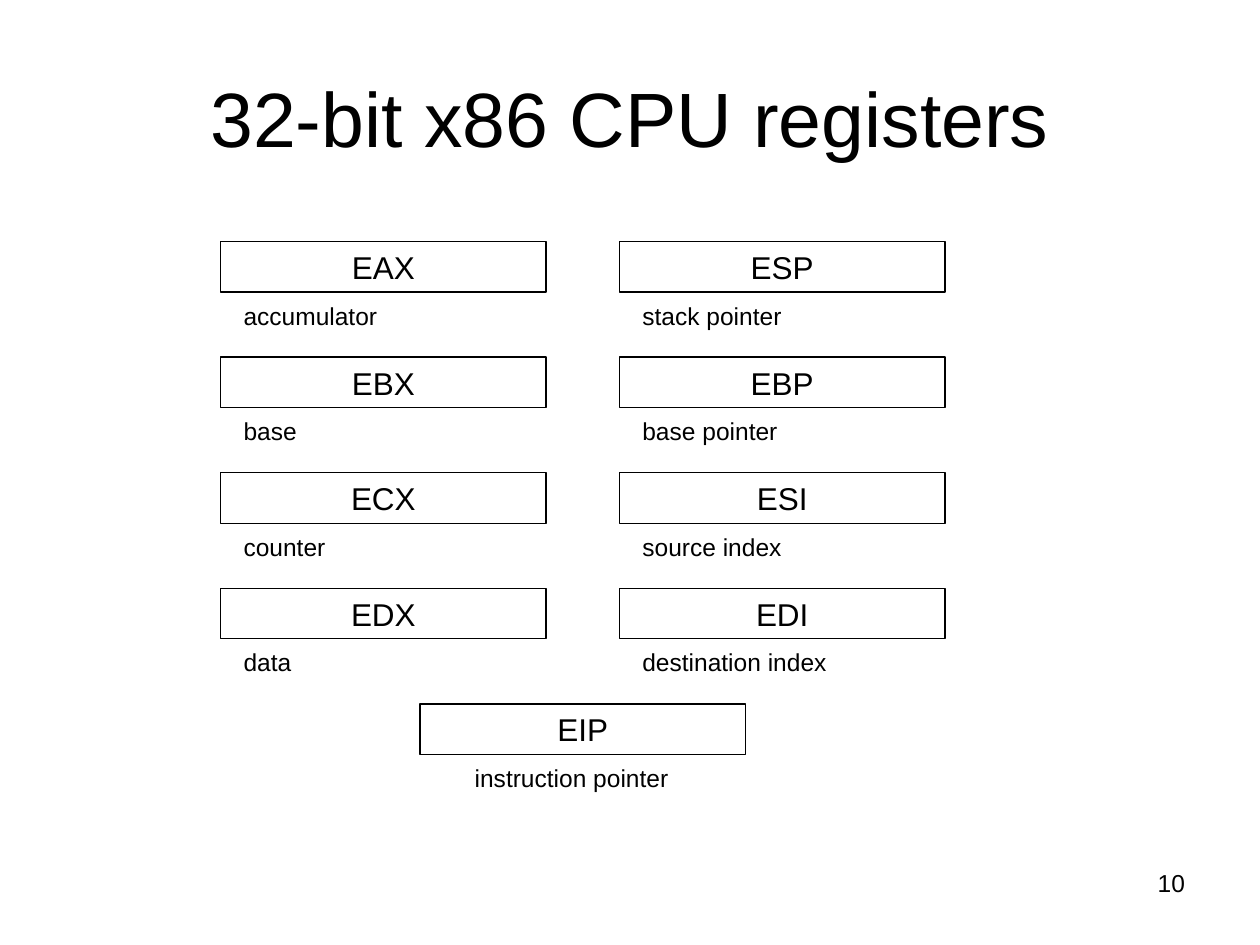
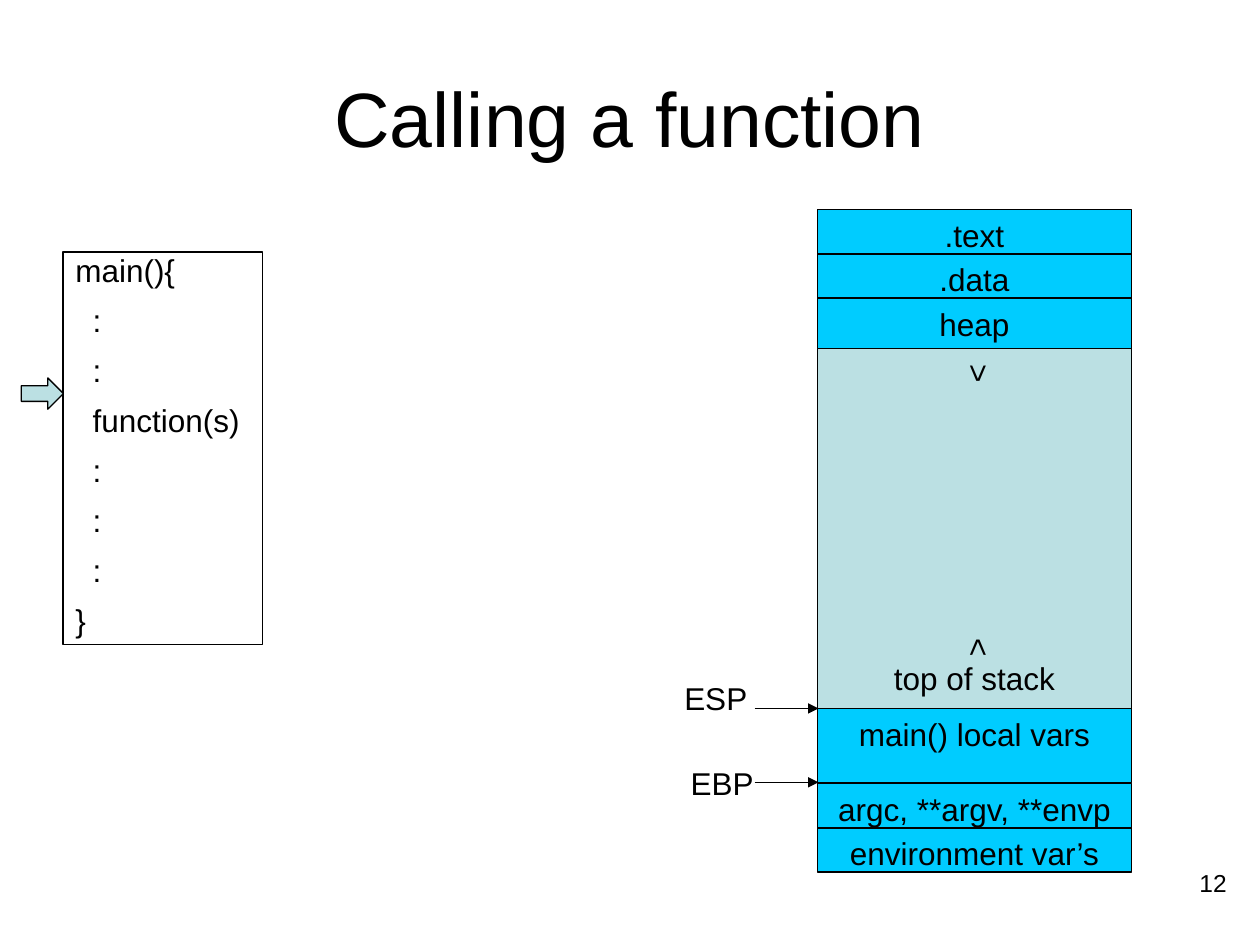
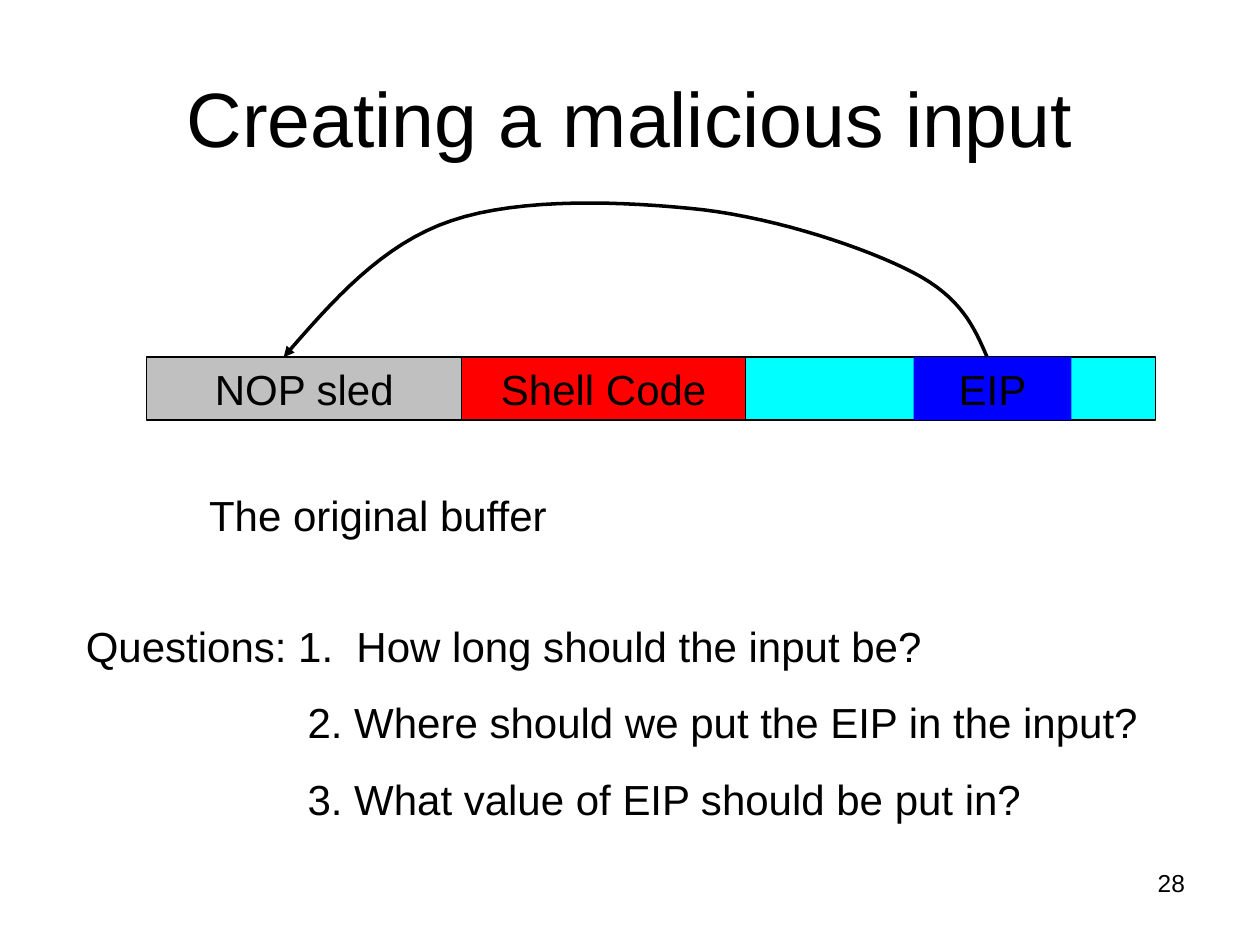
import pptx
import pptx.dml.color
import pptx.enum.shapes
import pptx.enum.text
import pptx.oxml.ns
import pptx.util
import lxml.etree

Cm = pptx.util.Cm
Pt = pptx.util.Pt
RGB = pptx.dml.color.RGBColor
KIND = pptx.enum.shapes.MSO_SHAPE
ALIGN = pptx.enum.text.PP_ALIGN
qn = pptx.oxml.ns.qn

BLACK = RGB(0x00, 0x00, 0x00)
PALE = RGB(0xBB, 0xE0, 0xE3)
SKY = RGB(0x00, 0xCC, 0xFF)
CYAN = RGB(0x00, 0xFF, 0xFF)
BLUE = RGB(0x00, 0x00, 0xFF)
RED = RGB(0xFF, 0x00, 0x00)
GREY = RGB(0xC0, 0xC0, 0xC0)

FRAME = {
    "word_wrap": True,
    "auto_size": pptx.enum.text.MSO_AUTO_SIZE.NONE,
    "vertical_anchor": pptx.enum.text.MSO_ANCHOR.TOP,
    "margin_left": Cm(0.25), "margin_right": Cm(0.25),
    "margin_top": Cm(0.13), "margin_bottom": Cm(0.13),
}
TITLE = {"left": Cm(1.27), "top": Cm(0.76), "width": Cm(22.86), "height": Cm(3.18)}
LIST = {"left": Cm(1.48), "top": Cm(12.37), "width": Cm(22.23), "height": Cm(4.37)}


def write(frame, text, size, align):
    """Fill a text frame, one paragraph per line of text."""
    for key, val in FRAME.items():
        setattr(frame, key, val)
    frame.text = text
    for para in frame.paragraphs:
        form = {"alignment": align, "space_before": Pt(size * 0.625)}
        for key, val in form.items():
            setattr(para, key, val)
        font = {"name": "Arial", "size": Pt(size)}
        for key, val in font.items():
            setattr(para.font, key, val)
        para.font.color.rgb = BLACK


def draw(slide, place, text="", size=18, fill=None, line=BLACK,
         kind=KIND.RECTANGLE, align=ALIGN.CENTER):
    """Add a shape; with kind None, a plain text box."""
    place = [Cm(num) for num in place]
    if kind is None:
        shape = slide.shapes.add_textbox(*place)
    else:
        shape = slide.shapes.add_shape(kind, *place)
        shape.shadow.inherit = False
        if fill is None:
            shape.fill.background()
        else:
            shape.fill.solid()
            shape.fill.fore_color.rgb = fill
        if line is None:
            shape.line.fill.background()
        else:
            shape.line.color.rgb = line
            shape.line.width = Pt(0.75)
    if text:
        write(shape.text_frame, text, size, align)
    return shape


deck = pptx.Presentation()
deck.slide_width, deck.slide_height = Cm(25.4), Cm(19.05)

# Titles and page numbers
heads = [
    ("32-bit x86 CPU registers", "10", 18.21, 5),
    ("Calling a function", "12", 19.05, 5),
    ("Creating a malicious input", "28", 18.21, 1),
]
for head, page, left, layout in heads:
    slide = deck.slides.add_slide(deck.slide_layouts[layout])
    title = slide.shapes.title
    for key, val in TITLE.items():
        setattr(title, key, val)
    write(title.text_frame, head, 44, ALIGN.CENTER)
    title.text_frame.vertical_anchor = pptx.enum.text.MSO_ANCHOR.MIDDLE
    title.text_frame.paragraphs[0].space_before = Pt(0)
    draw(slide, (left, 17.36, 5.93, 1.32), page, 14, kind=None, align=ALIGN.RIGHT)
regs, call, input_ = deck.slides

# Registers: column, row, name, role, indent of the role
cells = [
    (0, 0, "EAX", "accumulator", 0.21),
    (0, 1, "EBX", "base", 0.21),
    (0, 2, "ECX", "counter", 0.21),
    (0, 3, "EDX", "data", 0.21),
    (1, 0, "ESP", "stack pointer", 0.21),
    (1, 1, "EBP", "base pointer", 0.21),
    (1, 2, "ESI", "source index", 0.21),
    (1, 3, "EDI", "destination index", 0.21),
    (0.5, 4, "EIP", "instruction pointer", 0.85),
]
for col, row, name, role, indent in cells:
    left, top = 4.45 + 8.04 * col, 4.87 + 2.33 * row
    draw(regs, (left, top, 6.56, 1.02), name)
    draw(regs, (left + indent, top + 1.06, 5.5, 0.86), role, 14,
         kind=None, align=ALIGN.LEFT)

# Code of the caller
code = draw(call, (1.27, 5.08, 4.02, 7.92),
            "main(){\n:\n:\nfunction(s)\n:\n:\n:\n}", align=ALIGN.LEFT)
lines = code.text_frame.paragraphs
for para in lines:
    para.line_spacing = 0.8
for para in lines[1:-1]:
    para._p.get_or_add_pPr().set("marL", str(Cm(0.35)))
draw(call, (0.43, 7.62, 0.85, 0.63), fill=PALE, kind=KIND.RIGHT_ARROW)

# Memory blocks: top, height, text, fill
LEFT, WIDE = 16.48, 6.33
blocks = [
    (6.91, 7.49, "", PALE),
    (4.23, 1.02, ".text", SKY),
    (5.12, 1.02, ".data", SKY),
    (6.01, 1.02, "heap", SKY),
    (14.28, 1.5, "main() local vars", SKY),
    (15.8, 0.89, "argc, **argv, **envp", SKY),
    (16.69, 0.89, "environment var’s", SKY),
]
for top, high, text, fill in blocks:
    draw(call, (LEFT, top, WIDE, high), text, fill=fill)
draw(call, (LEFT, 13.16, WIDE, 1.02), "top of stack", kind=None)

# Signs for the growth of heap and stack
for sign, top in ((">", 7.09), ("<", 12.62)):
    mark = draw(call, (19, top, 1.27, 0.89), sign, kind=None, align=ALIGN.LEFT)
    frame = mark.text_frame
    frame._txBody.bodyPr.set("vert", "eaVert")
    frame.margin_left = frame.margin_right = Cm(0.13)
    frame.margin_top = frame.margin_bottom = Cm(0.25)

# Stack pointers
for name, left, top, tip in (("ESP", 13.43, 13.55, 14.28), ("EBP", 13.56, 15.27, 15.77)):
    draw(call, (left, top, 2, 1.02), name, kind=None)
    arrow = call.shapes.add_connector(
        pptx.enum.shapes.MSO_CONNECTOR.STRAIGHT, Cm(15.21), Cm(tip), Cm(16.5), Cm(tip))
    arrow.line.color.rgb = BLACK
    arrow.line.width = Pt(0.75)
    lxml.etree.SubElement(arrow.line._get_or_add_ln(), qn("a:tailEnd"), type="triangle")
    lxml.etree.SubElement(arrow._element.spPr, qn("a:effectLst"))

# Parts of the buffer: left, width, text, fill, line
parts = [
    (12.49, 10.8, "", CYAN, BLACK),
    (18.42, 3.18, "EIP", BLUE, None),
    (9.31, 5.72, "Shell Code", RED, BLACK),
    (2.96, 6.35, "NOP sled", GREY, BLACK),
]
for left, wide, text, fill, line in parts:
    draw(input_, (left, 7.2, wide, 1.27), text, 24, fill, line)
draw(input_, (3.6, 9.74, 8.04, 1.27), "The original buffer", 24, kind=None)

# Curved arrow from EIP back to the sled, as a chain of Bezier curves
knots = [
    (19.9, 7.2), (19.64, 6.6), (19.38, 6), (18.42, 5.5),
    (17.46, 5), (15.72, 4.42), (14.18, 4.23),
    (12.63, 4.06), (10.51, 3.97), (9.1, 4.45),
    (7.7, 4.92), (6.71, 6.06), (5.72, 7.2),
]
STEPS = 16
dots = []
for first in range(0, len(knots) - 1, 3):
    for step in range(1, STEPS + 1):
        t = step / STEPS
        mix = ((1 - t) ** 3, 3 * t * (1 - t) ** 2, 3 * t * t * (1 - t), t ** 3)
        span = knots[first:first + 4]
        dots.append([Cm(sum(m * k[axis] for m, k in zip(mix, span))) for axis in (0, 1)])
pen = input_.shapes.build_freeform(Cm(knots[0][0]), Cm(knots[0][1]))
pen.add_line_segments(dots, close=False)
curve = pen.convert_to_shape()
curve.shadow.inherit = False
curve.fill.background()
curve.line.color.rgb = BLACK
curve.line.width = Pt(2)
lxml.etree.SubElement(curve.line._get_or_add_ln(), qn("a:tailEnd"), type="triangle")

# Questions
body = input_.placeholders[1]
for key, val in LIST.items():
    setattr(body, key, val)
write(body.text_frame, "Questions: 1.  How long should the input be?\n"
      "2. Where should we put the EIP in the input?\n"
      "3. What value of EIP should be put in?", 24, ALIGN.LEFT)
for num, para in enumerate(body.text_frame.paragraphs):
    props = para._p.get_or_add_pPr()
    props.set("marL", str(Cm(4.47 if num else 0)))
    props.set("indent", "0")
    none = lxml.etree.Element(qn("a:buNone"))
    props.find(qn("a:spcBef")).addnext(none)

deck.save("out.pptx")
